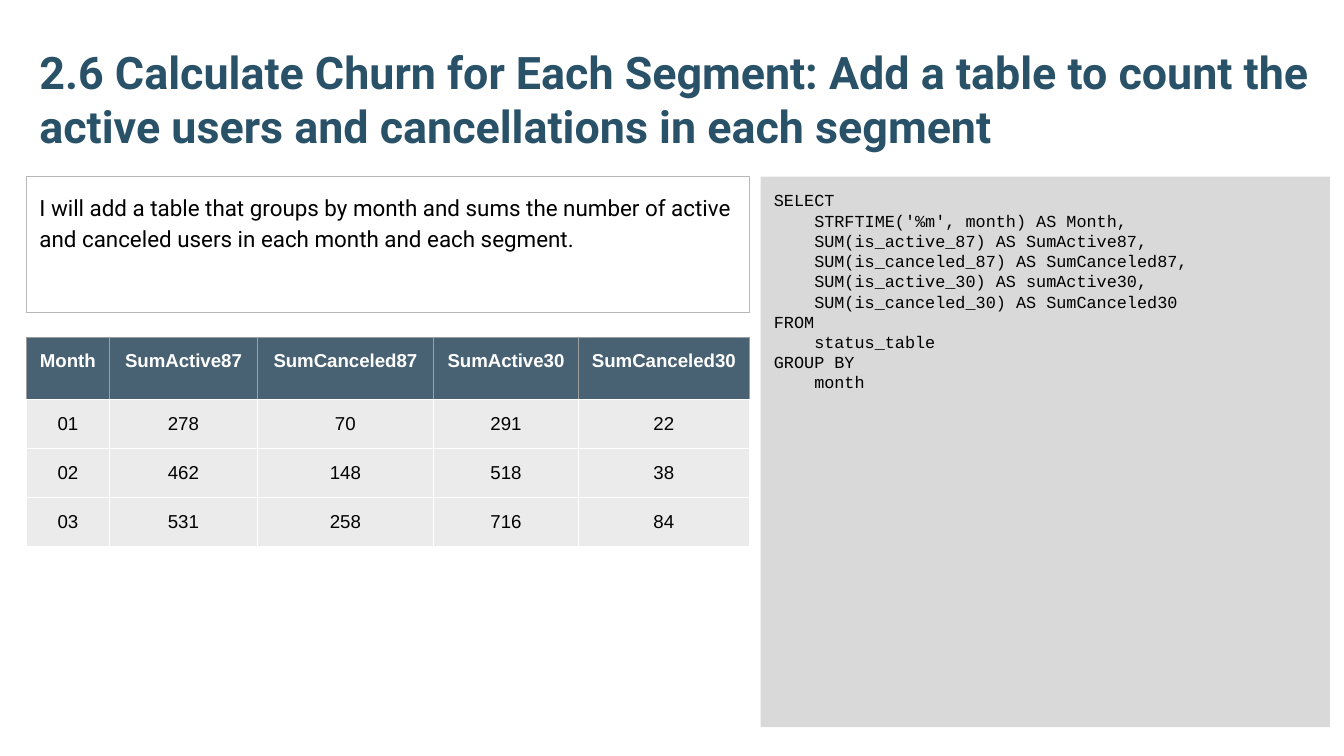
from lxml.etree import SubElement
from pptx import Presentation
from pptx.dml.color import RGBColor
from pptx.enum.shapes import MSO_SHAPE
from pptx.enum.text import MSO_ANCHOR, PP_ALIGN
from pptx.oxml.ns import qn
from pptx.util import Emu, Pt

PX = 4572  # 200 px to the inch
BORDER_PT = 0.75
COLORS = {
    "title": "295269", "text": "000000", "code_fill": "D9D9D9",
    "note_line": "B7B7B7", "head_fill": "204056", "head_text": "FFFFFF",
    "head_line": "9E9E9E", "body_fill": "EBEBEB", "body_line": "FFFFFF",
}
FONTS = {
    "title": {"name": "Roboto", "size": Pt(24), "bold": True},
    "note": {"name": "Roboto", "size": Pt(12)},
    "code": {"name": "Courier New", "size": Pt(9)},
    "head": {"name": "Arial", "size": Pt(10), "bold": True},
    "body": {"name": "Arial", "size": Pt(10), "bold": False},
}
SIDES = ("lnL", "lnR", "lnT", "lnB")

TITLE = ("2.6 Calculate Churn for Each Segment: Add a table to count the "
         "active users and cancellations in each segment")
NOTE = ("I will add a table that groups by month and sums the number of active "
        "and canceled users in each month and each segment.")
QUERY = """SELECT
    STRFTIME('%m', month) AS Month,
    SUM(is_active_87) AS SumActive87,
    SUM(is_canceled_87) AS SumCanceled87,
    SUM(is_active_30) AS sumActive30,
    SUM(is_canceled_30) AS SumCanceled30
FROM
    status_table
GROUP BY
    month"""
ROWS = [
    ("Month", "SumActive87", "SumCanceled87", "SumActive30", "SumCanceled30"),
    ("01", 278, 70, 291, 22),
    ("02", 462, 148, 518, 38),
    ("03", 531, 258, 716, 84),
]
COL_WIDTHS = (124, 220, 262, 216, 254)
ROW_HEIGHTS = (92, 73, 73, 73)


def px(*values):
    return [Emu(v * PX) for v in values]


def rgb(key):
    return RGBColor.from_string(COLORS[key])


def set_attrs(obj, values):
    for name, value in values.items():
        setattr(obj, name, value)


def set_margins(obj, margin):
    for side in ("left", "top", "right", "bottom"):
        setattr(obj, f"margin_{side}", Emu(margin * PX))


def write(tf, text, font, color, **para):
    """Fill a text frame with one paragraph for each line of text."""
    for i, line in enumerate(text.split("\n")):
        p = tf.add_paragraph() if i else tf.paragraphs[0]
        set_attrs(p, {"alignment": PP_ALIGN.LEFT, **para})
        r = p.add_run()
        r.text = line
        set_attrs(r.font, FONTS[font])
        r.font.color.rgb = rgb(color)


def set_frame(tf, anchor):
    set_attrs(tf, {"word_wrap": True, "vertical_anchor": anchor})
    set_margins(tf, 20)


def add_title(slide, box):
    tf = slide.shapes.add_textbox(*px(*box)).text_frame
    set_frame(tf, MSO_ANCHOR.BOTTOM)
    write(tf, TITLE, "title", "title")


def add_panel(slide, box):
    sp = slide.shapes.add_shape(MSO_SHAPE.RECTANGLE, *px(*box))
    sp.shadow.inherit = False
    set_frame(sp.text_frame, MSO_ANCHOR.TOP)
    return sp


def add_note(slide, box):
    sp = add_panel(slide, box)
    sp.fill.background()
    sp.line.color.rgb = rgb("note_line")
    sp.line.width = Pt(BORDER_PT)
    write(sp.text_frame, NOTE, "note", "text", line_spacing=1.15)


def add_query(slide, box):
    sp = add_panel(slide, box)
    sp.fill.solid()
    sp.fill.fore_color.rgb = rgb("code_fill")
    sp.line.fill.background()
    write(sp.text_frame, QUERY, "code", "text")


def paint_cell(cell, fill, lines, opacity=100):
    """Set borders in the order of SIDES, then the fill, which must follow them."""
    tc_pr = cell._tc.get_or_add_tcPr()
    for side, line in zip(SIDES, lines):
        ln = SubElement(tc_pr, qn(f"a:{side}"), w=str(Pt(BORDER_PT)))
        SubElement(SubElement(ln, qn("a:solidFill")), qn("a:srgbClr"), val=COLORS[line])
    cell.fill.solid()
    cell.fill.fore_color.rgb = rgb(fill)
    if opacity < 100:
        clr = tc_pr.find(qn("a:solidFill")).find(qn("a:srgbClr"))
        SubElement(clr, qn("a:alpha"), val=str(opacity * 1000))


def add_churn_table(slide, box):
    table = slide.shapes.add_table(len(ROWS), len(COL_WIDTHS), *px(*box)).table
    set_attrs(table, {"first_row": False, "horz_banding": False})
    for col, width in zip(table.columns, px(*COL_WIDTHS)):
        col.width = width
    for row, height in zip(table.rows, px(*ROW_HEIGHTS)):
        row.height = height
    for i, values in enumerate(ROWS):
        for j, value in enumerate(values):
            cell = table.cell(i, j)
            if i == 0:
                set_margins(cell, 20)
                paint_cell(cell, "head_fill", ["head_line"] * 3 + ["body_line"], 82)
                font, color = "head", "head_text"
            else:
                set_margins(cell, 4)
                cell.vertical_anchor = MSO_ANCHOR.MIDDLE
                paint_cell(cell, "body_fill", ["body_line"] * 4)
                font, color = "body", "text"
            write(cell.text_frame, str(value), font, color, alignment=PP_ALIGN.CENTER)


def main():
    prs = Presentation()
    prs.slide_width, prs.slide_height = px(2000, 1125)
    slide = prs.slides.add_slide(prs.slide_layouts[6])
    left, top, width = 39, 263, sum(COL_WIDTHS)
    add_title(slide, (left, 64, 1940, 183))
    add_query(slide, (1132, top, 847, 819))
    add_note(slide, (left, top, width, 202))
    add_churn_table(slide, (left, 502, width, sum(ROW_HEIGHTS)))
    prs.save("out.pptx")


if __name__ == "__main__":
    main()
